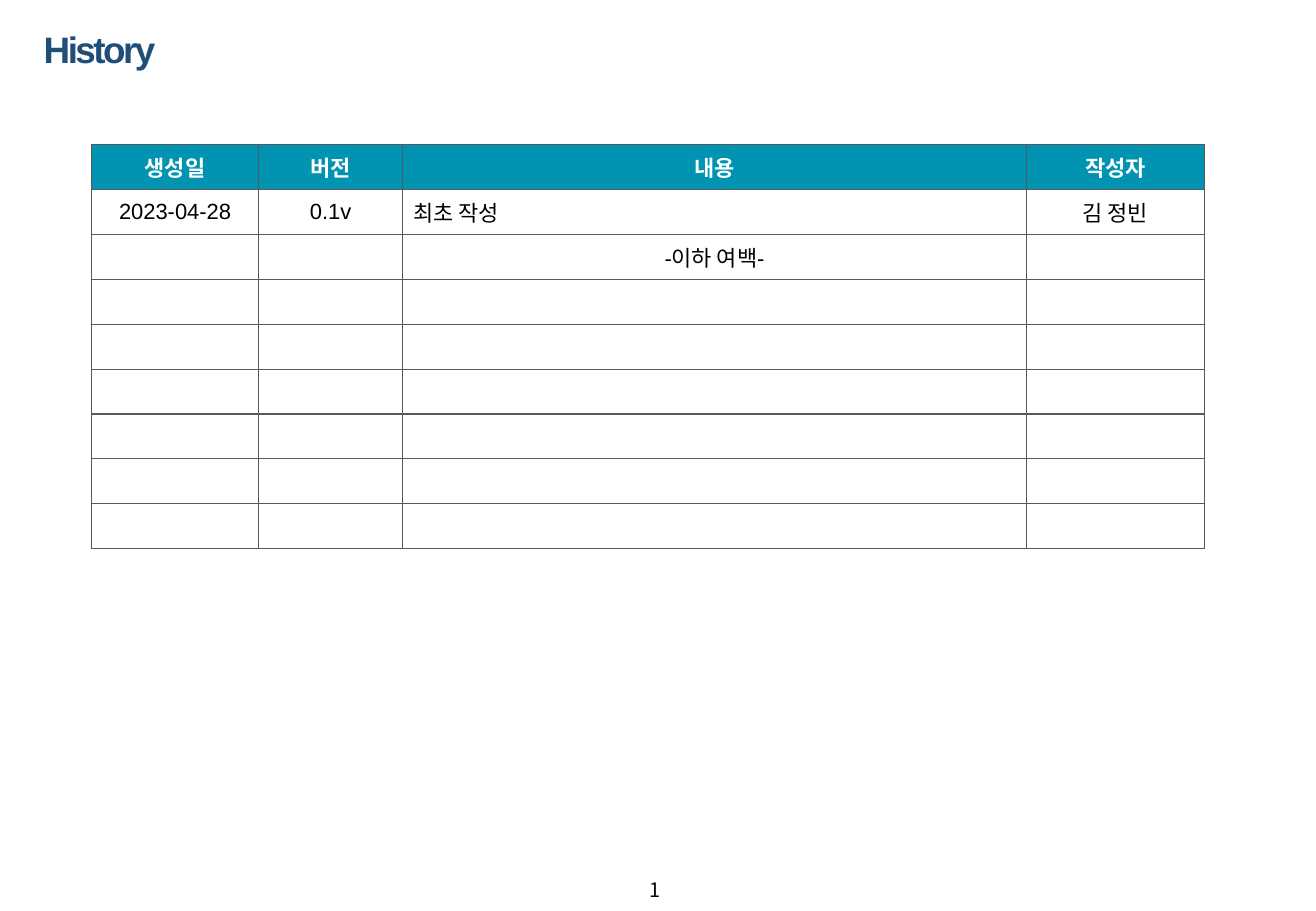
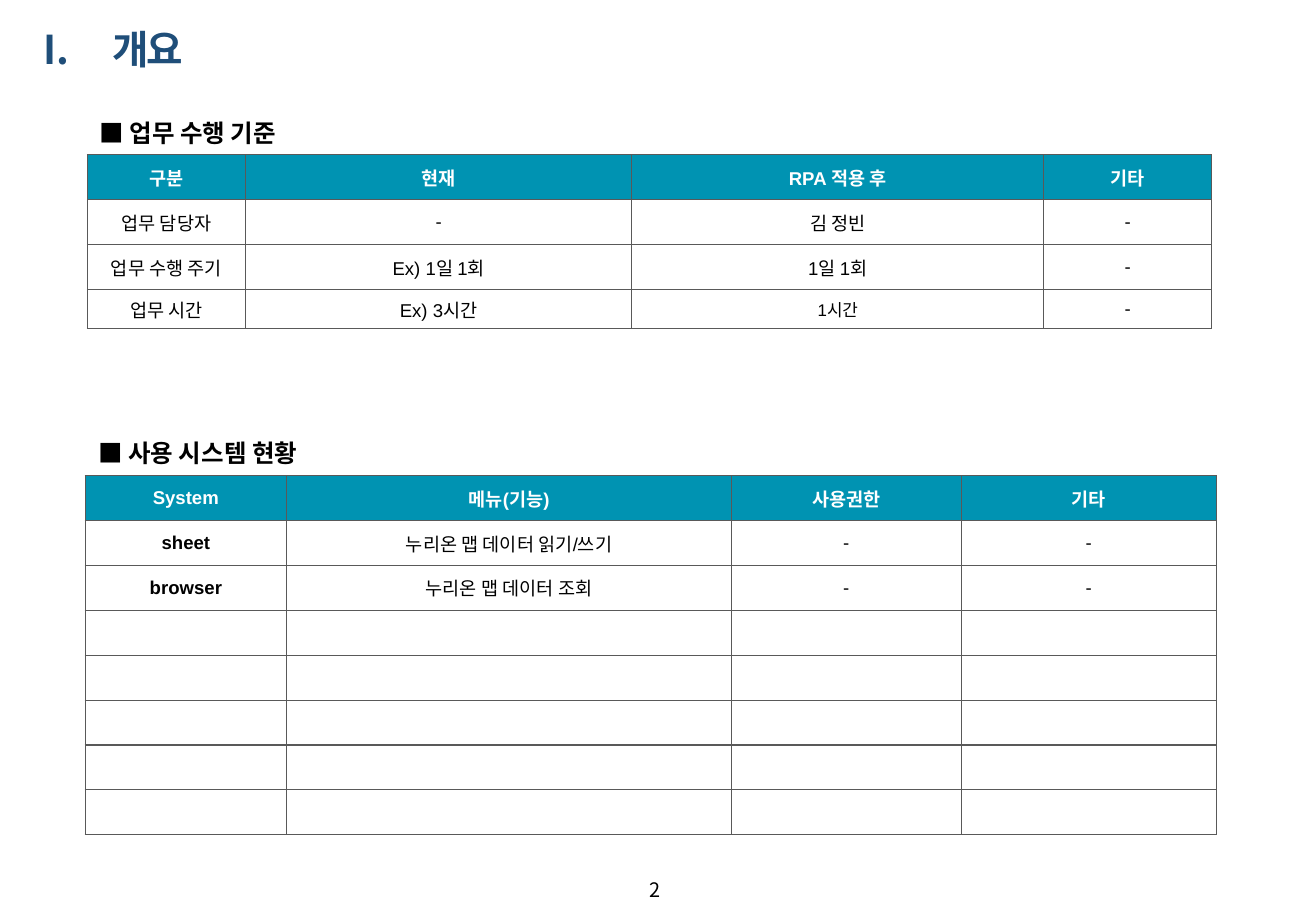
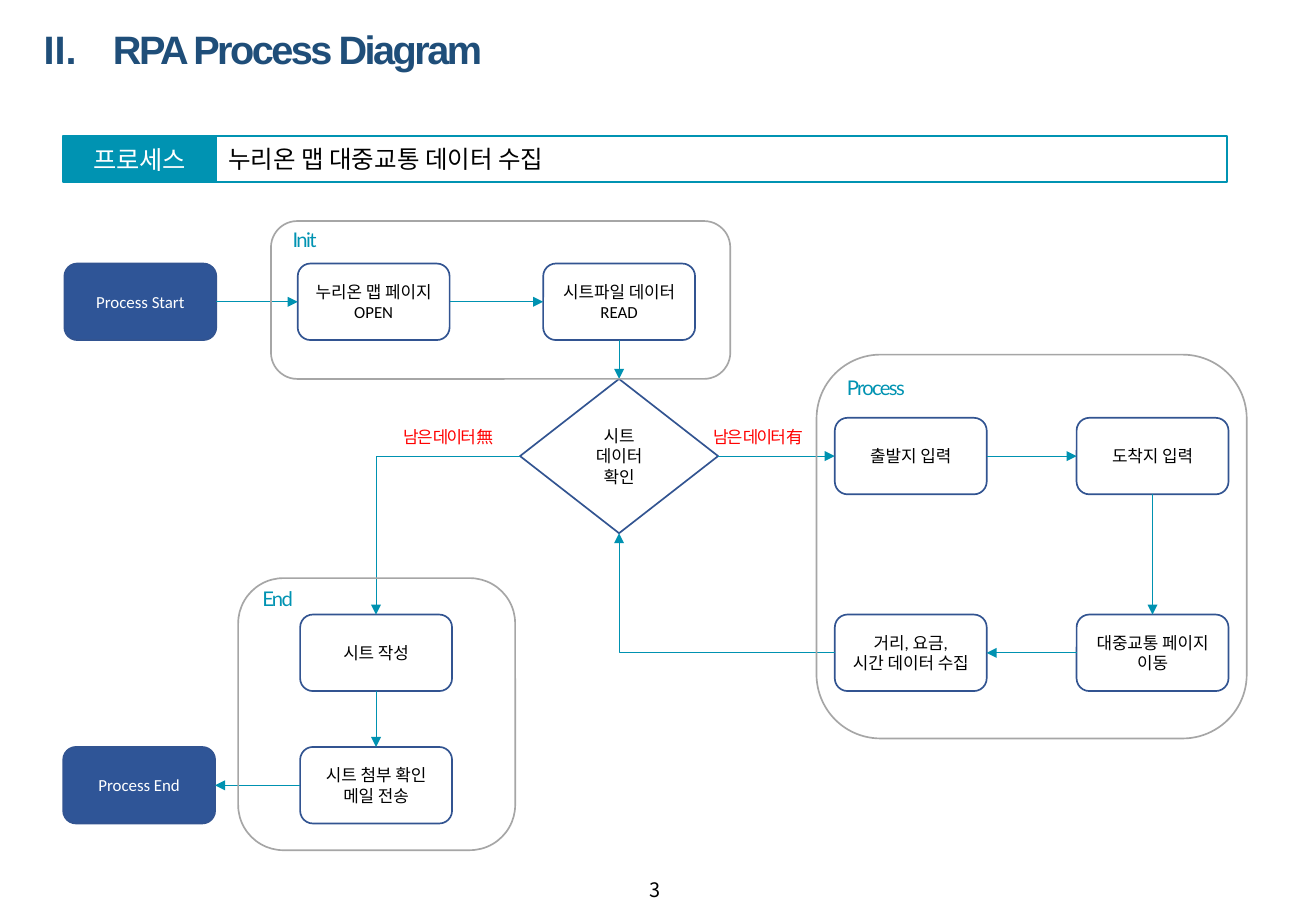
"""Build a three-slide RPA process document."""
from lxml import etree
from pptx import Presentation
from pptx.dml.color import RGBColor
from pptx.enum.shapes import MSO_CONNECTOR, MSO_SHAPE
from pptx.enum.text import MSO_ANCHOR, MSO_AUTO_SIZE, PP_ALIGN
from pptx.oxml.ns import qn
from pptx.util import Inches, Pt

TEAL = RGBColor(0x00, 0x93, 0xB2)
ARROW = RGBColor(0x00, 0x92, 0xB1)
NAVY = RGBColor(0x1F, 0x4E, 0x79)
BLUE = RGBColor(0x2F, 0x55, 0x97)
EDGE = RGBColor(0x32, 0x54, 0x91)
GRID = RGBColor(0x59, 0x59, 0x59)
GRAY = RGBColor(0xA6, 0xA6, 0xA6)
RED = RGBColor(0xFF, 0x00, 0x00)
WHITE = RGBColor(0xFF, 0xFF, 0xFF)
BLACK = RGBColor(0x00, 0x00, 0x00)

LEFT, CENTER = PP_ALIGN.LEFT, PP_ALIGN.CENTER
TOP, MIDDLE = MSO_ANCHOR.TOP, MSO_ANCHOR.MIDDLE
RECT, ROUND = MSO_SHAPE.RECTANGLE, MSO_SHAPE.ROUNDED_RECTANGLE
DIAMOND = MSO_SHAPE.DIAMOND
STRAIGHT, ELBOW = MSO_CONNECTOR.STRAIGHT, MSO_CONNECTOR.ELBOW
FIXED = MSO_AUTO_SIZE.NONE

SANS, CJK, BODY, NOTE = "Arial", "Noto Sans CJK KR", "Calibri", "Lato"
ROW = 0.37
STEP_W, STEP_H = 1.25, 0.63


def write(frame, text, size=11, font=SANS, color=BLACK, bold=False,
          align=LEFT, track=0, before=0):
    """Put formatted text in a frame and return its paragraph."""
    para = frame.paragraphs[0]
    para.text = text
    para.alignment = align
    if before:
        para.space_before = Pt(before)
    for run in para.runs:
        run.font.size, run.font.name, run.font.bold = Pt(size), font, bold
        run.font.color.rgb = color
        props = run.font._element
        etree.SubElement(props, qn("a:ea"), typeface=CJK)
        if track:
            props.set("spc", str(int(track * 100)))
    if not text:
        etree.SubElement(para._p, qn("a:endParaRPr"), sz=str(size * 100))
    return para


def label(slide, box, text, **style):
    """Add a wrapped text box and return its paragraph."""
    frame = slide.shapes.add_textbox(*map(Inches, box)).text_frame
    frame.word_wrap = True
    return write(frame, text, **style)


def block(slide, kind, box, text="", fill=None, line=EDGE, **style):
    """Add a flat preset shape with optional text."""
    shape = slide.shapes.add_shape(kind, *map(Inches, box))
    shape.shadow.inherit = False
    if fill is None:
        shape.fill.background()
    else:
        shape.fill.solid()
        shape.fill.fore_color.rgb = fill
    shape.line.color.rgb = line
    shape.line.width = Pt(1)
    if text:
        shape.text_frame.word_wrap = True
        shape.text_frame.vertical_anchor = MIDDLE
        write(shape.text_frame, text, **style)
    return shape


def page(deck, layout, title, size, start=0):
    """Add a slide with its title and page number."""
    slide = deck.slides.add_slide(layout)
    frame = slide.shapes.title.text_frame
    frame.auto_size = FIXED
    frame.vertical_anchor = MIDDLE
    para = write(frame, title, size=size, color=NAVY, bold=True, track=-1.5)
    para.line_spacing = 0.9
    if start:
        props = para._p.get_or_add_pPr()
        props.set("marL", str(Inches(0.57)))
        props.set("indent", str(-Inches(0.57)))
        etree.SubElement(props, qn("a:buAutoNum"), type="romanUcPeriod",
                         startAt=str(start))
    para = label(slide, (5.25, 7.18, 0.35, 0.3), str(len(deck.slides)),
                 size=11.8, font=CJK, track=-1.5)
    field = para.runs[0]._r
    field.tag = qn("a:fld")
    field.set("id", "{B6F15528-21DE-4FAA-801E-634DDDAF4B2B}")
    field.set("type", "slidenum")
    return slide


def border(cell):
    """Draw thin lines on the four sides of a cell."""
    props = cell._tc.get_or_add_tcPr()
    for at, side in enumerate(("lnL", "lnR", "lnT", "lnB")):
        line = etree.Element(qn("a:" + side), w=str(Pt(0.75)))
        fill = etree.SubElement(line, qn("a:solidFill"))
        etree.SubElement(fill, qn("a:srgbClr"), val=str(GRID))
        props.insert(at, line)


def grid(slide, left, top, cols, rows, highs, size=11, special=None):
    """Add a bordered table; special maps a cell to its own format."""
    shape = slide.shapes.add_table(
        len(highs), len(cols), Inches(left), Inches(top),
        Inches(sum(cols)), Inches(sum(highs)))
    table = shape.table
    table.horz_banding = False
    for col, width in zip(table.columns, cols):
        col.width = Inches(width)
    for r, high in enumerate(highs):
        table.rows[r].height = Inches(high)
        texts = rows[r] if r < len(rows) else [""] * len(cols)
        for c, text in enumerate(texts):
            cell = table.cell(r, c)
            cell.vertical_anchor = MIDDLE
            cell.margin_left = cell.margin_right = Inches(0.09)
            cell.fill.solid()
            cell.fill.fore_color.rgb = WHITE if r else TEAL
            style = dict(size=size, align=CENTER, bold=not r,
                         color=BLACK if r else WHITE)
            style.update((special or {}).get((r, c), {}))
            write(cell.text_frame, text, **style)
            border(cell)


def part(slide, left, top, head, gap, *args, **style):
    """Add a section heading with its table under it."""
    label(slide, (left + gap, top, 3.52, 0.35), head, size=14.5, bold=True)
    grid(slide, left, top + 0.355, *args, **style)


def banner(slide, left, top, name, text):
    """Add the process name bar."""
    block(slide, RECT, (left, top, 1.26, 0.38), name, fill=TEAL, line=TEAL,
          size=15, color=WHITE, align=CENTER)
    block(slide, RECT, (left + 1.26, top, 8.32, 0.38), text, fill=WHITE,
          line=TEAL, size=14.5)


def link(slide, start, out, end, into, kind=STRAIGHT):
    """Join two shapes with an arrow."""
    line = slide.shapes.add_connector(kind, 0, 0, 0, 0)
    line.begin_connect(start, out)
    line.end_connect(end, into)
    line.line.color.rgb = ARROW
    line.line.width = Pt(0.5)
    props = line._element.spPr
    if kind == ELBOW:
        props.find(qn("a:prstGeom")).set("prst", "bentConnector2")
    etree.SubElement(props.find(qn("a:ln")), qn("a:tailEnd"), type="triangle")
    etree.SubElement(props, qn("a:effectLst"))


def flow(slide, left, top):
    """Draw the process chart from its upper left corner."""
    def put(kind, x, y, w, h, text, fill=WHITE, color=BLACK):
        """Add one chart node."""
        return block(slide, kind, (left + x, top + y, w, h), text, fill=fill,
                     size=10, font=BODY, color=color, align=CENTER)

    ends = {"start": (0.03, 0.37, "Process Start"),
            "stop": (0.02, 4.35, "Process End")}
    steps = {"open": (1.95, 0.37, "누리온 맵 페이지 OPEN"),
             "read": (3.97, 0.37, "시트파일 데이터 READ"),
             "goal": (8.36, 1.64, "도착지 입력"),
             "from": (6.37, 1.64, "출발지 입력"),
             "move": (8.36, 3.26, "대중교통 페이지 이동"),
             "take": (6.37, 3.26, "거리, 요금,\n시간 데이터 수집"),
             "save": (1.97, 3.26, "시트 작성"),
             "mail": (1.97, 4.35, "시트 첨부 확인 메일 전송")}
    node = {}
    for key, (x, y, text) in ends.items():
        node[key] = put(ROUND, x, y, STEP_W, STEP_H, text, BLUE, WHITE)
    for key, (x, y, text) in steps.items():
        node[key] = put(ROUND, x, y, STEP_W, STEP_H, text)
    node["test"] = put(DIAMOND, 3.78, 1.32, 1.63, 1.27, "시트 데이터 확인")

    for start, out, end, into, kind in (
            ("start", 3, "open", 1, STRAIGHT),
            ("open", 3, "read", 1, STRAIGHT),
            ("read", 2, "test", 0, STRAIGHT),
            ("test", 3, "from", 1, STRAIGHT),
            ("from", 3, "goal", 1, STRAIGHT),
            ("goal", 2, "move", 0, STRAIGHT),
            ("move", 1, "take", 3, STRAIGHT),
            ("take", 1, "test", 2, ELBOW),
            ("test", 1, "save", 0, ELBOW),
            ("save", 2, "mail", 0, STRAIGHT),
            ("mail", 1, "stop", 3, STRAIGHT)):
        link(slide, node[start], out, node[end], into, kind)

    for x, text in ((5.27, "남은 데이터 有"), (2.72, "남은 데이터 無")):
        label(slide, (left + x, top + 1.66, 1.25, 0.27), text, size=10,
              font=NOTE, color=RED, track=-1, before=3)

    for x, y, w, h, dx, dy, name in (
            (1.73, 0.02, 3.78, 1.3, 0.08, 0, "Init"),
            (1.46, 2.96, 2.28, 2.24, 0.1, 0.02, "End"),
            (6.22, 1.12, 3.54, 3.16, 0.15, 0.12, "Process")):
        block(slide, ROUND, (left + x, top + y, w, h), line=GRAY)
        label(slide, (left + x + dx, top + y + dy, 0.98, 0.3), name, size=12,
              font=NOTE, color=TEAL, track=-1, before=3)


def main():
    """Build and save the deck."""
    deck = Presentation()
    deck.slide_width, deck.slide_height = Inches(10.83), Inches(7.5)
    layout = deck.slide_layouts[5]
    title = layout.placeholders[0]
    title.left, title.top = Inches(0.26), Inches(0.17)
    title.width, title.height = Inches(10.34), Inches(0.51)

    slide = page(deck, layout, "History", 21.8)
    grid(slide, 0.75, 1.19, (1.38, 1.18, 5.14, 1.46),
         (("생성일", "버전", "내용", "작성자"),
          ("2023-04-28", "0.1v", "최초 작성", "김 정빈"),
          ("", "", "-이하 여백-", "")),
         [ROW] * 9, size=13, special={(1, 2): {"align": LEFT}})

    slide = page(deck, layout, "개요", 23.5, start=1)
    part(slide, 0.72, 0.92, "■ 업무 수행 기준", 0, (1.3, 3.18, 3.39, 1.38),
         (("구분", "현재", "RPA 적용 후", "기타"),
          ("업무 담당자", "-", "김 정빈", "-"),
          ("업무 수행 주기", "Ex) 1일 1회", "1일 1회", "-"),
          ("업무 시간", "Ex) 3시간", "1시간", "-")),
         [ROW] * 3 + [0.32], special={(3, 2): {"size": 10}})
    part(slide, 0.7, 3.56, "■ 사용 시스템 현황", 0.01,
         (1.66, 3.66, 1.89, 2.1),
         (("System", "메뉴(기능)", "사용권한", "기타"),
          ("sheet", "누리온 맵 데이터 읽기/쓰기", "-", "-"),
          ("browser", "누리온 맵 데이터 조회", "-", "-")),
         [ROW] * 8, special={(r, 0): {"bold": True} for r in (1, 2)})

    slide = page(deck, layout, "RPA Process Diagram", 23.5, start=2)
    banner(slide, 0.52, 1.12, "프로세스", "누리온 맵 대중교통 데이터 수집")
    flow(slide, 0.5, 1.8)
    deck.save("out.pptx")


if __name__ == "__main__":
    main()
